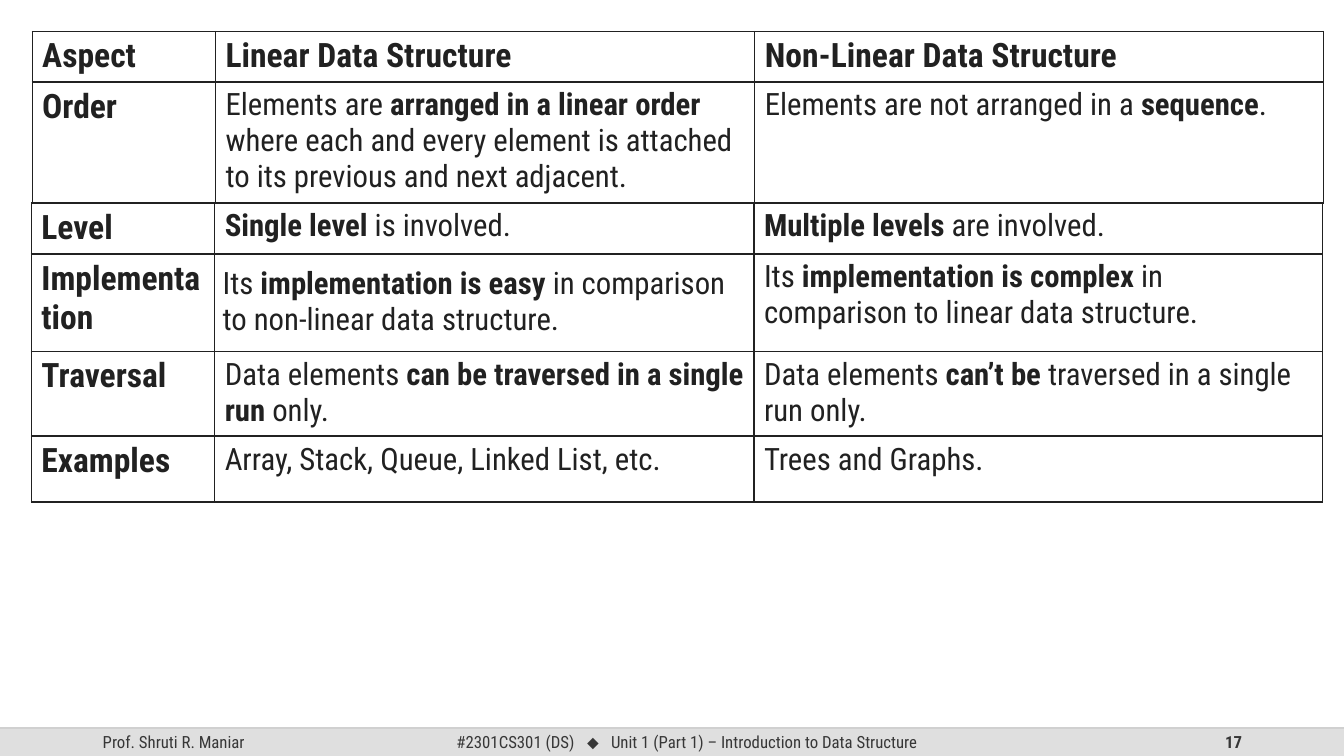
from dataclasses import dataclass

from lxml import etree
from pptx import Presentation
from pptx.dml.color import RGBColor
from pptx.enum.shapes import MSO_CONNECTOR, MSO_SHAPE
from pptx.enum.text import MSO_ANCHOR, PP_ALIGN
from pptx.oxml.ns import qn
from pptx.util import Cm, Pt

STRAIGHT = MSO_CONNECTOR.STRAIGHT
RECTANGLE = MSO_SHAPE.RECTANGLE
MIDDLE = MSO_ANCHOR.MIDDLE
LEFT, CENTER, RIGHT = PP_ALIGN.LEFT, PP_ALIGN.CENTER, PP_ALIGN.RIGHT

FONT = "Roboto Condensed"
INK = "212121"
FOOTER_INK = "373737"
SLIDE_WIDTH, SLIDE_HEIGHT = 33.87, 19.05
FOOTER_TOP, FOOTER_HEIGHT = 18.34, 0.71
COLUMN_WIDTHS = (4.62, 13.59, 14.33)
HEADING_SIZE, BODY_SIZE = 24, 22


@dataclass(frozen=True)
class Row:
    height: float
    cells: tuple[str, str, str]
    is_header: bool = False
    middle_cell_top: float = 0.13


@dataclass(frozen=True)
class Block:
    left: float
    top: float
    rows: tuple[Row, ...]


@dataclass(frozen=True)
class FooterText:
    left: float
    width: float
    alignment: PP_ALIGN
    pieces: tuple[str, ...]
    bold: bool = False


BLOCKS = (
    Block(0.81, 0.79, (
        Row(1.24, ("Aspect", "Linear Data Structure", "Non-Linear Data Structure"), is_header=True),
        Row(3.0, (
            "Order",
            "Elements are **arranged in a linear order **where each and every element "
            "is attached to its previous and next adjacent.",
            "Elements are not arranged in a **sequence**.",
        )),
    )),
    Block(0.79, 5.11, (
        Row(1.25, ("Level", "**Single level **is involved.", "**Multiple levels **are involved.")),
    )),
    Block(0.79, 6.4, (
        Row(2.44, (
            "Implementation",
            "Its **implementation is easy **in comparison to non-linear data structure.",
            "Its **implementation is complex **in comparison to linear data structure.",
        ), middle_cell_top=0.3),
    )),
    Block(0.79, 8.86, (
        Row(2.11, (
            "Traversal",
            "Data elements **can be traversed in a single run **only.",
            "Data elements **can’t be **traversed in a single run only.",
        )),
    )),
    Block(0.79, 11.0, (
        Row(1.65, ("Examples", "Array, Stack, Queue, Linked List, etc.", "Trees and Graphs.")),
    )),
)

FOOTER_TEXTS = (
    FooterText(11.23, 12.17, CENTER,
               ("#2301CS301 (DS)", " ", "⬥", " ", "Unit 1 (Part 1) – Introduction to Data Structure")),
    FooterText(23.93, 7.62, RIGHT, ("17",), bold=True),
    FooterText(2.34, 7.62, LEFT, ("Prof. Shruti R. Maniar",)),
)


def color(value: str) -> RGBColor:
    return RGBColor.from_string(value)


def set_borders(cell) -> None:
    properties = cell._tc.get_or_add_tcPr()
    for index, side in enumerate(("a:lnL", "a:lnR", "a:lnT", "a:lnB")):
        line = etree.Element(qn(side), w=str(Pt(1)))
        fill = etree.SubElement(line, qn("a:solidFill"))
        etree.SubElement(fill, qn("a:srgbClr"), val=INK)
        properties.insert(index, line)


def fill_cell(cell, text: str, is_heading: bool) -> None:
    cell.fill.background()
    set_borders(cell)
    paragraph = cell.text_frame.paragraphs[0]
    paragraph.font.name = FONT
    paragraph.font.size = Pt(HEADING_SIZE if is_heading else BODY_SIZE)
    paragraph.font.color.rgb = color(INK)
    for index, piece in enumerate(text.split("**")):
        if piece:
            run = paragraph.add_run()
            run.text = piece
            run.font.bold = is_heading or index % 2 == 1


def add_block(slide, block: Block) -> None:
    height = sum(row.height for row in block.rows)
    table = slide.shapes.add_table(
        len(block.rows), len(COLUMN_WIDTHS),
        Cm(block.left), Cm(block.top), Cm(sum(COLUMN_WIDTHS)), Cm(height),
    ).table
    table.first_row = False
    table.horz_banding = False
    for column, width in zip(table.columns, COLUMN_WIDTHS):
        column.width = Cm(width)
    for row_index, row in enumerate(block.rows):
        table.rows[row_index].height = Cm(row.height)
        for column_index, text in enumerate(row.cells):
            cell = table.cell(row_index, column_index)
            fill_cell(cell, text, row.is_header or column_index == 0)
        middle_cell = table.cell(row_index, 1)
        middle_cell.margin_top = Cm(row.middle_cell_top)
        if row.middle_cell_top > 0.13:
            middle_cell.margin_left = middle_cell.margin_right = Cm(0.2)
            middle_cell.margin_bottom = Cm(row.middle_cell_top)


def add_footer_bar(slide) -> None:
    bar = slide.shapes.add_shape(
        RECTANGLE, 0, Cm(FOOTER_TOP), Cm(SLIDE_WIDTH), Cm(FOOTER_HEIGHT))
    bar.shadow.inherit = False
    bar.fill.solid()
    bar.fill.fore_color.rgb = color("DFDFDF")
    bar.line.fill.background()


def add_footer_line(slide) -> None:
    line = slide.shapes.add_connector(
        STRAIGHT, 0, Cm(FOOTER_TOP), Cm(SLIDE_WIDTH), Cm(FOOTER_TOP))
    line.line.width = Pt(1)
    line.line.color.rgb = color("BFBFBF")
    solid_color = line._element.spPr.find(".//" + qn("a:srgbClr"))
    etree.SubElement(solid_color, qn("a:alpha"), val="70000")
    etree.SubElement(line._element.spPr, qn("a:effectLst"))


def add_footer_text(slide, footer: FooterText) -> None:
    box = slide.shapes.add_textbox(
        Cm(footer.left), Cm(FOOTER_TOP), Cm(footer.width), Cm(FOOTER_HEIGHT))
    frame = box.text_frame
    frame.word_wrap = True
    frame.vertical_anchor = MIDDLE
    paragraph = frame.paragraphs[0]
    paragraph.alignment = footer.alignment
    paragraph.font.size = Pt(12)
    paragraph.font.bold = footer.bold
    paragraph.font.color.rgb = color(FOOTER_INK)
    for piece in footer.pieces:
        run = paragraph.add_run()
        run.text = piece
        run.font.name = "Arial" if piece == "⬥" else FONT
        if piece == " ":
            run.font._element.set("spc", "600")


def main() -> None:
    presentation = Presentation()
    presentation.slide_width = Cm(SLIDE_WIDTH)
    presentation.slide_height = Cm(SLIDE_HEIGHT)
    slide = presentation.slides.add_slide(presentation.slide_layouts[6])
    add_footer_bar(slide)
    add_footer_line(slide)
    for footer in FOOTER_TEXTS:
        add_footer_text(slide, footer)
    for block in BLOCKS:
        add_block(slide, block)
    presentation.save("out.pptx")


if __name__ == "__main__":
    main()
